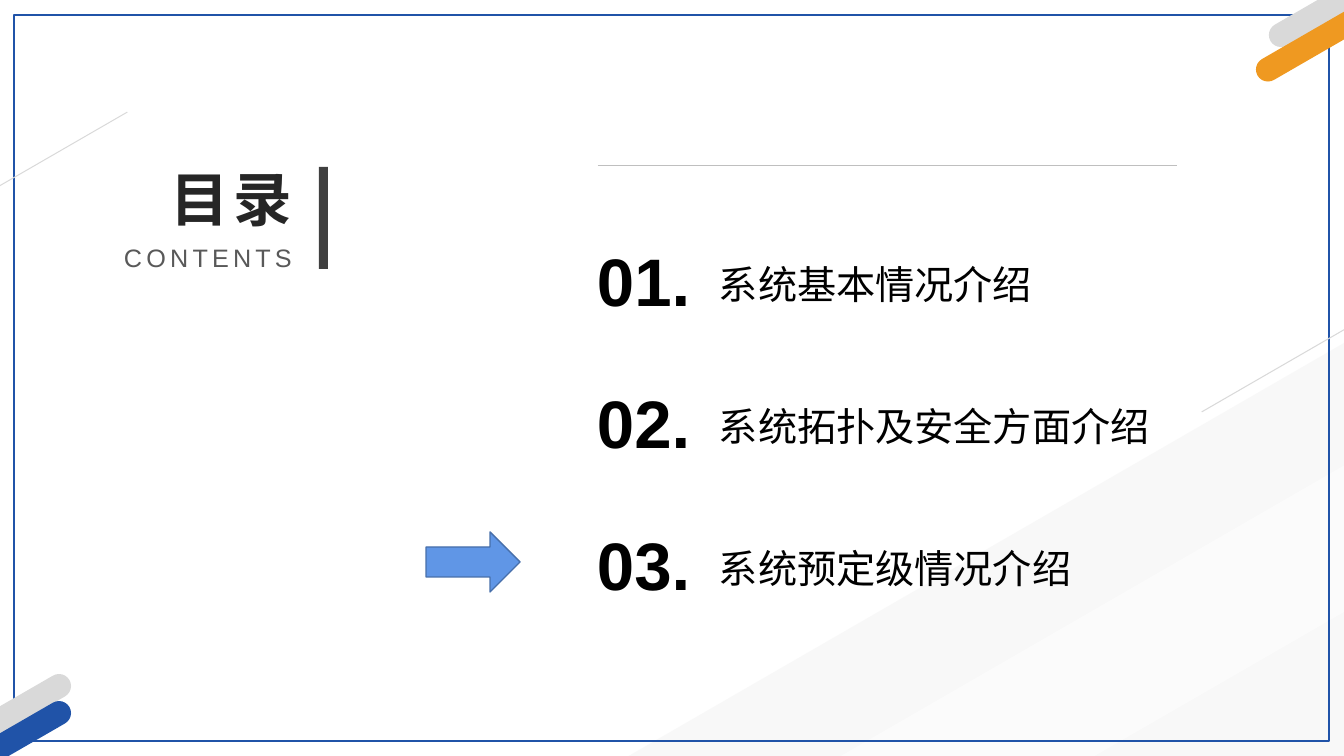
from dataclasses import dataclass

import lxml.etree
import pptx
import pptx.dml.color
import pptx.enum.shapes
import pptx.enum.text
import pptx.oxml.ns
import pptx.util

SHAPE = pptx.enum.shapes.MSO_SHAPE
ALIGN = pptx.enum.text.PP_ALIGN
ANCHOR = pptx.enum.text.MSO_ANCHOR


@dataclass(frozen=True)
class Theme:
    font: str = "Arial"
    blue: str = "2053A8"
    orange: str = "EF9921"
    silver: str = "D9D9D9"
    band: str = "F2F2F2"
    white: str = "FFFFFF"
    ink: str = "000000"
    title: str = "262626"
    subtitle: str = "595959"
    accent_bar: str = "404040"
    rule: str = "BFBFBF"
    arrow: str = "6096E6"
    arrow_edge: str = "476FAA"
    title_size: float = 41.8
    subtitle_size: float = 18
    number_size: float = 48
    topic_size: float = 28


def px(length):
    return pptx.util.Emu(round(length * 914400 / 100.8))


def rgb(code):
    return pptx.dml.color.RGBColor.from_string(code)


def add_child(parent, tag, **attributes):
    return lxml.etree.SubElement(parent, pptx.oxml.ns.qn(tag), **attributes)


class SlideBuilder:
    def __init__(self, slide, theme):
        self.slide = slide
        self.theme = theme

    def shape(self, kind, box, fill=None, edge=None):
        shape = self.slide.shapes.add_shape(kind, *map(px, box))
        shape.shadow.inherit = False
        if fill:
            shape.fill.solid()
            shape.fill.fore_color.rgb = rgb(fill)
        else:
            shape.fill.background()
        if edge:
            shape.line.color.rgb = rgb(edge)
            shape.line.width = pptx.util.Pt(1)
        else:
            shape.line.fill.background()
        return shape

    def stripe(self, box, fill, opacity=100):
        """Draw a round-ended bar rising to the right, opacity in percent."""
        stripe = self.shape(SHAPE.ROUNDED_RECTANGLE, box, fill)
        stripe.adjustments[0] = 0.5
        stripe.rotation = 330
        if opacity < 100:
            color = stripe.fill._xPr.find(".//" + pptx.oxml.ns.qn("a:srgbClr"))
            add_child(color, "a:alpha", val=str(opacity * 1000))

    def text(self, box, words, size, color, bold=False, align=ALIGN.LEFT,
             anchor=ANCHOR.BOTTOM, tracking=0, line_spacing=None):
        """Add one line of text; tracking is in points."""
        frame = self.slide.shapes.add_textbox(*map(px, box)).text_frame
        frame.word_wrap = True
        frame.vertical_anchor = anchor
        paragraph = frame.paragraphs[0]
        paragraph.alignment = align
        if line_spacing:
            paragraph.line_spacing = line_spacing
        run = paragraph.add_run()
        run.text = words
        run.font.name = self.theme.font
        run.font.size = pptx.util.Pt(size)
        run.font.bold = bold
        run.font.color.rgb = rgb(color)
        if tracking:
            run._r.get_or_add_rPr().set("spc", str(tracking * 100))

    def rule(self, left, right, y, color):
        rule = self.slide.shapes.add_connector(
            pptx.enum.shapes.MSO_CONNECTOR.STRAIGHT,
            px(left), px(y), px(right), px(y))
        rule.line.color.rgb = rgb(color)
        rule.line.width = pptx.util.Pt(0.5)
        add_child(rule._element.spPr, "a:effectLst")


def draw_backdrop(builder):
    theme = builder.theme
    builder.stripe((335, 556, 1395, 429), theme.band, opacity=49)
    builder.stripe((382, 628, 1395, 127), theme.white, opacity=49)
    builder.shape(SHAPE.RECTANGLE, (14, 15, 1315, 726), edge=theme.blue)
    for box, color in (
        ((1236, -100, 516, 24), theme.silver),
        ((1214, -99, 650, 24), theme.orange),
        ((-479, 274, 650, 1), theme.silver),
        ((-412, 797, 516, 24), theme.silver),
        ((-412, 824, 516, 24), theme.blue),
        ((1158, 249, 650, 1), theme.silver),
    ):
        builder.stripe(box, color)


def draw_heading(builder):
    theme = builder.theme
    builder.text((98, 153, 204, 85), "目录", theme.title_size, theme.title,
                 bold=True, align=ALIGN.RIGHT, tracking=3)
    builder.text((98, 238, 204, 40), "CONTENTS", theme.subtitle_size,
                 theme.subtitle, align=ALIGN.RIGHT, tracking=3)
    builder.shape(SHAPE.RECTANGLE, (319, 167, 9, 102), theme.accent_bar)


def draw_agenda(builder):
    theme = builder.theme
    topics = ("系统基本情况介绍", "系统拓扑及安全方面介绍", "系统预定级情况介绍")
    for index, topic in enumerate(topics):
        top = 233 + 142 * index
        builder.text((587, top, 114, 92), f"{index + 1:02}.",
                     theme.number_size, theme.ink, bold=True)
        builder.text((709, top, 468, 92), topic, theme.topic_size, theme.ink,
                     anchor=ANCHOR.MIDDLE, line_spacing=1.2)
    builder.rule(598, 1177, 165, theme.rule)
    builder.shape(SHAPE.RIGHT_ARROW, (426, 532, 94, 60),
                  theme.arrow, theme.arrow_edge)


def main():
    presentation = pptx.Presentation()
    presentation.slide_width = px(1344)
    presentation.slide_height = px(756)
    slide = presentation.slides.add_slide(presentation.slide_layouts[6])
    builder = SlideBuilder(slide, Theme())
    draw_backdrop(builder)
    draw_heading(builder)
    draw_agenda(builder)
    presentation.save("out.pptx")


if __name__ == "__main__":
    main()
